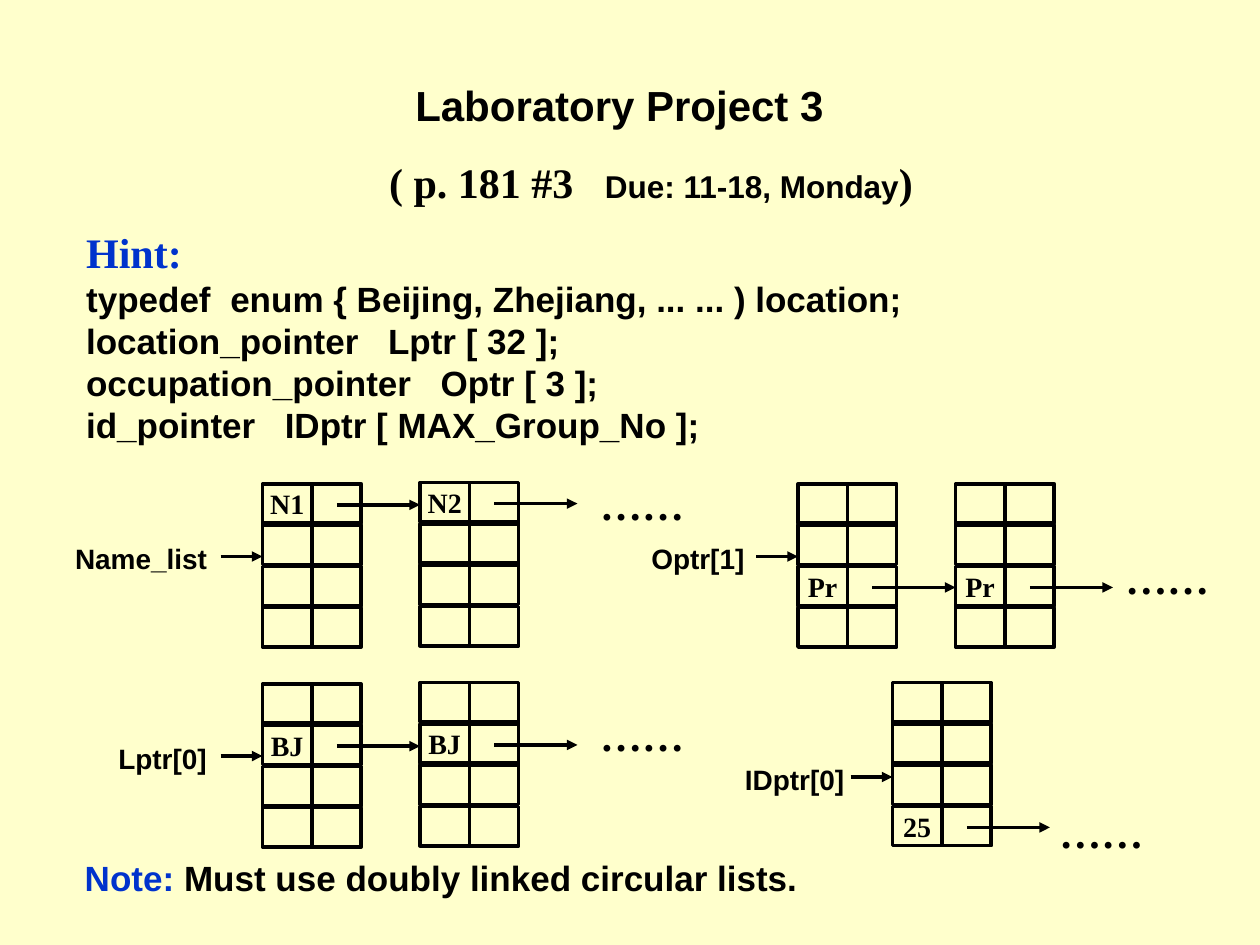
import dataclasses

import lxml.etree
import pptx
import pptx.dml.color
import pptx.enum.shapes
import pptx.enum.text
import pptx.oxml.ns
import pptx.util

Pt = pptx.util.Pt
ALIGN = pptx.enum.text.PP_ALIGN
ANCHOR = pptx.enum.text.MSO_ANCHOR
BLACK, BLUE, CREAM = "000000", "0033CC", "FFFFCC"
SANS, SERIF = "Arial", "Times New Roman"
CELL_WIDTH, CELL_HEIGHT = 28.2, 22.5
ROW_PITCH, NODE_PITCH = 23.6, 90
ROWS, COLUMNS = 4, 2


@dataclasses.dataclass
class LinkedList:
    left: float
    top: float
    label: str
    label_left: float
    label_width: float
    entry_y: float
    values: tuple
    row: int
    dots_left: float
    dots_top: float
    step: float = 0


def color(value):
    return pptx.dml.color.RGBColor.from_string(value)


def add_element(parent, tag, **attributes):
    element = lxml.etree.SubElement(parent, pptx.oxml.ns.qn(tag))
    for name, value in attributes.items():
        element.set(name, value)


def set_font(font, size, name, shade=BLACK):
    font.size = Pt(size)
    font.name = name
    font.bold = True
    font.color.rgb = color(shade)


def format_paragraph(paragraph, size, align, before=0):
    paragraph.alignment = align
    paragraph.line_spacing = Pt(size * 1.2)
    paragraph.space_before = Pt(before)


def add_span(paragraph, text, tracking=0):
    span = paragraph.add_run()
    span.text = text
    if tracking:
        span.font._element.set("spc", str(round(tracking * 100)))
    return span


def place(shape, left, top, width, height):
    shape.left, shape.top = Pt(left), Pt(top)
    shape.width, shape.height = Pt(width), Pt(height)
    frame = shape.text_frame
    frame.auto_size = pptx.enum.text.MSO_AUTO_SIZE.NONE
    frame.vertical_anchor = ANCHOR.TOP
    frame.word_wrap = True
    return frame


def fill_centered(frame, text, size, name):
    frame.margin_left = frame.margin_right = 0
    frame.margin_top = frame.margin_bottom = 0
    frame.word_wrap = False
    frame.vertical_anchor = ANCHOR.MIDDLE
    paragraph = frame.paragraphs[0]
    paragraph.text = text
    format_paragraph(paragraph, size, ALIGN.CENTER)
    set_font(paragraph.font, size, name)


def add_label(shapes, text, left, top, width, height, size, name):
    box = shapes.add_textbox(Pt(left), Pt(top), Pt(width), Pt(height))
    fill_centered(box.text_frame, text, size, name)


def add_arrow(shapes, left, y, length):
    arrow = shapes.add_connector(
        pptx.enum.shapes.MSO_CONNECTOR.STRAIGHT,
        Pt(left), Pt(y), Pt(left + length), Pt(y))
    arrow.line.color.rgb = color(BLACK)
    arrow.line.width = Pt(2)
    add_element(arrow.line._get_or_add_ln(), "a:tailEnd", type="triangle")
    add_element(arrow._element.spPr, "a:effectLst")


def add_cell(shapes, left, top, text):
    cell = shapes.add_shape(
        pptx.enum.shapes.MSO_SHAPE.RECTANGLE,
        Pt(left), Pt(top), Pt(CELL_WIDTH), Pt(CELL_HEIGHT))
    cell.shadow.inherit = False
    cell.fill.background()
    cell.line.color.rgb = color(BLACK)
    cell.line.width = Pt(2)
    if text:
        fill_centered(cell.text_frame, text, 16, SERIF)


def add_node(shapes, left, top, value, value_row):
    for row in range(ROWS):
        for column in range(COLUMNS):
            text = value if (row, column) == (value_row, 0) else ""
            add_cell(shapes, left + column * CELL_WIDTH, top + row * ROW_PITCH, text)
    add_arrow(shapes, left + 42.5, top + value_row * ROW_PITCH + 12, 47.5)


def add_linked_list(page, item):
    shapes = page.shapes.add_group_shape().shapes
    for index, value in enumerate(item.values):
        add_node(shapes, item.left + index * NODE_PITCH,
                 item.top - index * item.step, value, item.row)
    entry = item.top + item.entry_y
    add_label(shapes, item.label, item.left + item.label_left, entry - 12,
              item.label_width, 26.6, 16, SANS)
    add_arrow(shapes, item.left - 24, entry, 24)
    add_label(shapes, "……", item.left + item.dots_left,
              item.top + item.dots_top, 62, 36, 24, SERIF)


def add_title(page, left, top, width, height):
    frame = place(page.shapes.title, left, top, width, height)
    heading = frame.paragraphs[0]
    heading.text = "Laboratory Project 3"
    format_paragraph(heading, 24, ALIGN.CENTER)
    set_font(heading.font, 24, SANS)
    due = frame.add_paragraph()
    due._p.get_or_add_pPr().set("marL", str(Pt(36)))
    format_paragraph(due, 24, ALIGN.CENTER, 15)
    set_font(add_span(due, "( p. 181 #3").font, 24, SERIF)
    set_font(add_span(due, " ", 12).font, 24, SERIF)
    set_font(add_span(due, "Due: 11-18, Monday").font, 18, SANS)
    set_font(add_span(due, ")").font, 24, SERIF)


def add_hint(page, left, top, width, height):
    frame = place(page.placeholders[1], left, top, width, height)
    lines = [
        (("Hint:",), 0, 24, SERIF, BLUE),
        (("typedef", "enum { Beijing, Zhejiang, ... ... ) location;"), 5.56, 20, SANS, BLACK),
        (("location_pointer", "Lptr [ 32 ];"), 11.12, 20, SANS, BLACK),
        (("occupation_pointer", "Optr [ 3 ];"), 11.12, 20, SANS, BLACK),
        (("id_pointer", "IDptr [ MAX_Group_No ];"), 11.12, 20, SANS, BLACK),
    ]
    for index, (parts, gap, size, name, shade) in enumerate(lines):
        paragraph = frame.add_paragraph() if index else frame.paragraphs[0]
        properties = paragraph._p.get_or_add_pPr()
        properties.set("marL", "0")
        properties.set("indent", "0")
        add_element(properties, "a:buNone")
        for position, part in enumerate(parts):
            if position:
                add_span(paragraph, " ", gap)
            add_span(paragraph, part)
        format_paragraph(paragraph, size, ALIGN.LEFT)
        set_font(paragraph.font, size, name, shade)


def add_note(page, left, top, width, height):
    box = page.shapes.add_textbox(0, 0, 0, 0)
    paragraph = place(box, left, top, width, height).paragraphs[0]
    format_paragraph(paragraph, 20, ALIGN.CENTER)
    set_font(add_span(paragraph, "Note:").font, 20, SANS, BLUE)
    set_font(add_span(paragraph, " Must use doubly linked circular lists.").font, 20, SANS)


def main():
    deck = pptx.Presentation()
    deck.slide_width, deck.slide_height = Pt(720), Pt(540)
    page = deck.slides.add_slide(deck.slide_layouts[1])
    page.background.fill.solid()
    page.background.fill.fore_color.rgb = color(CREAM)
    add_title(page, 126, 42, 456, 80)
    add_hint(page, 42, 126, 636, 132.5)
    linked_lists = [
        LinkedList(150, 276.5, "Name_list", -114, 89.3, 41.5, ("N1", "N2"), 0, 186, -6.5, 0.7),
        LinkedList(150, 390.8, "Lptr[0]", -89.5, 64.8, 41.2, ("BJ", "BJ"), 1, 186, 11, 0.7),
        LinkedList(456, 276.5, "Optr[1]", -91, 67.7, 41.5, ("Pr", "Pr"), 2, 180, 35.5),
        LinkedList(510, 390, "IDptr[0]", -91.6, 71.3, 54, ("25",), 3, 88.3, 67.2),
    ]
    for item in linked_lists:
        add_linked_list(page, item)
    add_note(page, 41.2, 486, 422, 31.7)
    deck.save("out.pptx")


if __name__ == "__main__":
    main()
